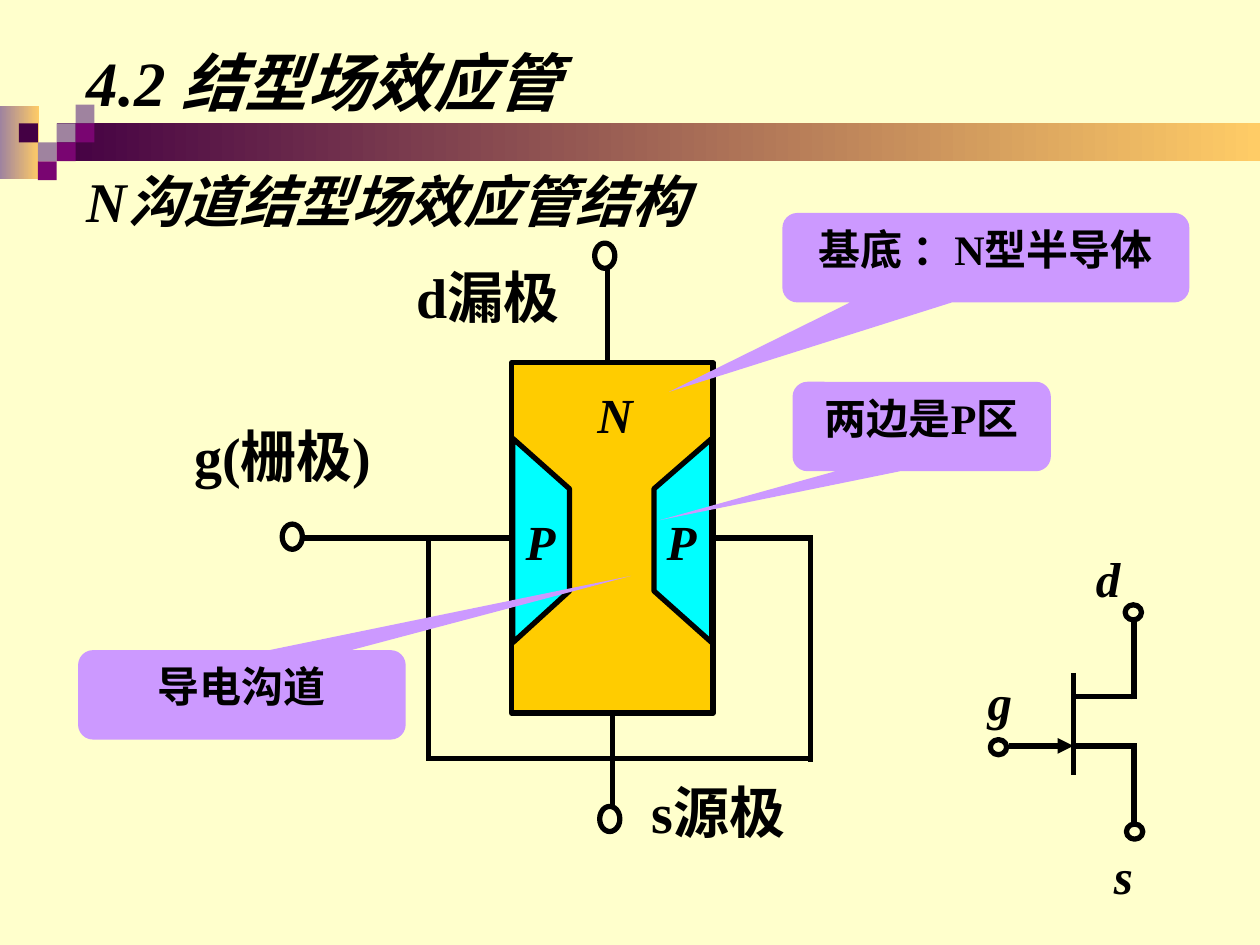
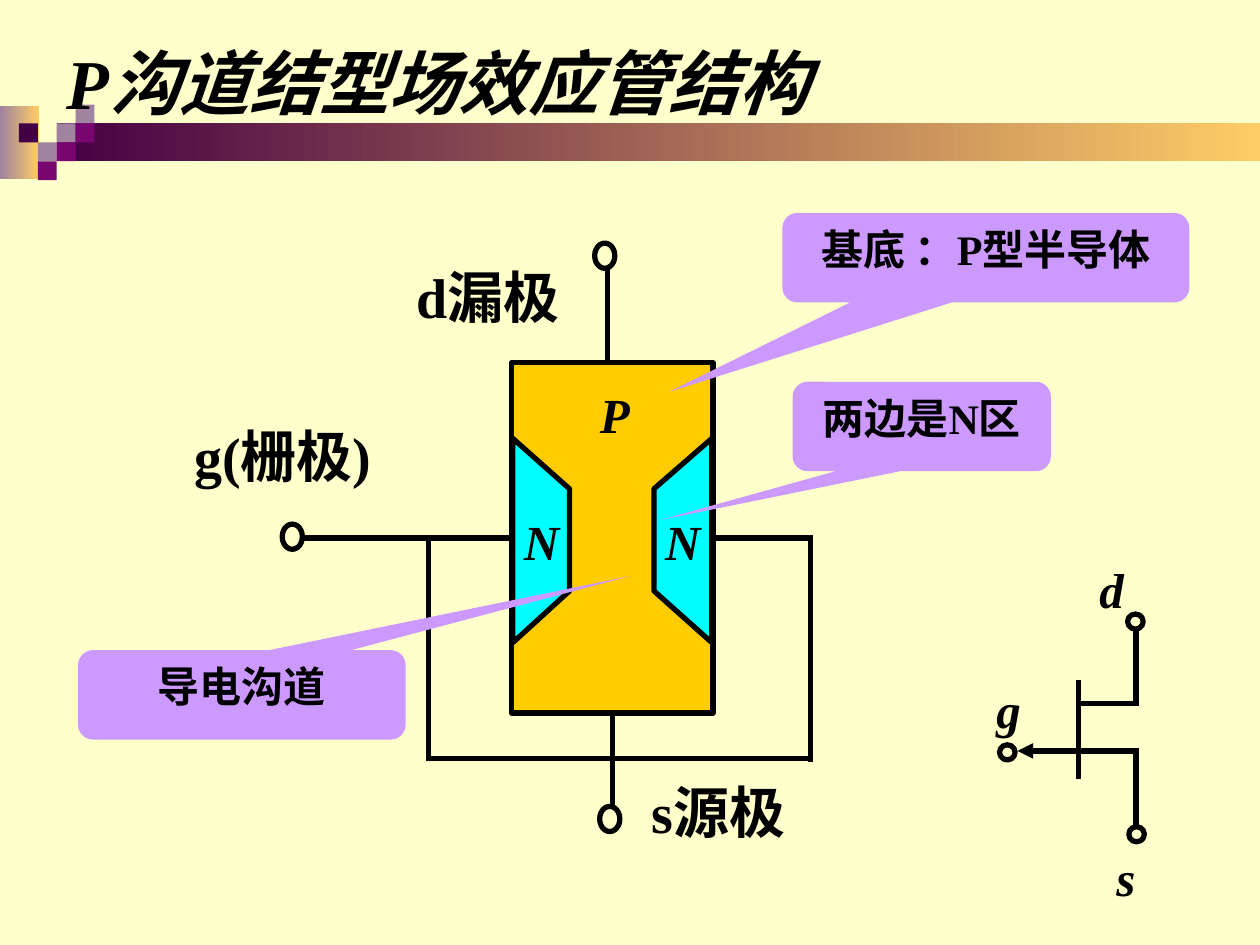
from dataclasses import dataclass
from typing import NamedTuple, Optional

from lxml import etree
from pptx import Presentation
from pptx.dml.color import RGBColor
from pptx.enum.shapes import MSO_CONNECTOR, MSO_SHAPE
from pptx.enum.text import MSO_ANCHOR, PP_ALIGN
from pptx.oxml.ns import qn
from pptx.util import Inches, Pt

RECT = MSO_SHAPE.RECTANGLE
OVAL = MSO_SHAPE.OVAL
CALLOUT = MSO_SHAPE.ROUNDED_RECTANGULAR_CALLOUT
STRAIGHT = MSO_CONNECTOR.STRAIGHT
LEFT, CENTER = PP_ALIGN.LEFT, PP_ALIGN.CENTER
TOP, MIDDLE = MSO_ANCHOR.TOP, MSO_ANCHOR.MIDDLE
SIDE_LEFT, SIDE_BOTTOM, SIDE_RIGHT = 1, 2, 3


@dataclass(frozen=True)
class Theme:
    page: str = "FFFFCC"
    ink: str = "000000"
    mauve: str = "9F839F"
    plum: str = "790571"
    dark: str = "440044"
    sand: str = "FFCC66"
    substrate: str = "FFCC00"
    region: str = "00FFFF"
    callout: str = "CC99FF"
    serif: str = "Times New Roman"
    sans: str = "Arial"
    electrode_size: int = 32
    letter_size: int = 28
    callout_size: int = 24
    line_width: int = 3


THEME = Theme()


class Box(NamedTuple):
    x: float
    y: float
    w: float
    h: float


class Wire(NamedTuple):
    x1: float
    y1: float
    x2: float
    y2: float
    side: Optional[int] = None


class Label(NamedTuple):
    text: str
    box: Box


class Callout(NamedTuple):
    text: str
    box: Box
    tip_x: float
    tip_y: float
    font: str = THEME.serif


class Title(NamedTuple):
    text: str
    box: Box
    size: int


class Symbol(NamedTuple):
    bar_x: float
    drain_y: float
    scale_x: float
    scale_y: float
    arrow_end: str


class Device(NamedTuple):
    titles: list[Title]
    substrate: str
    region: str
    symbol: Symbol


CELL = 0.15
GRID_TOP = 0.83
SQUARES = [
    (3, 1, THEME.mauve), (4, 0, THEME.mauve), (4, 1, THEME.plum),
    (2, 2, THEME.mauve), (1, 1, THEME.dark), (3, 2, THEME.plum),
    (2, 3, THEME.plum),
]

CHANNEL = Box(4.06, 2.88, 1.6, 2.78)
GATE_Y = 4.27
LOOP_Y = 6.02
WIRES = [
    Wire(5.66, GATE_Y, 6.45, GATE_Y, SIDE_RIGHT),
    Wire(6.43, 4.25, 6.43, 6.05),
    Wire(6.43, LOOP_Y, 3.38, LOOP_Y),
    Wire(4.06, GATE_Y, 2.39, GATE_Y, SIDE_LEFT),
    Wire(3.4, LOOP_Y, 3.4, GATE_Y),
    Wire(4.86, 5.66, 4.86, 6.4, SIDE_BOTTOM),
    Wire(4.82, 2.12, 4.82, 2.9),
]
TERMINALS = [(2.24, 4.16), (4.76, 6.4), (4.72, 1.93)]
ELECTRODES = [
    Label("g(栅极)", Box(1.35, 3.03, 1.79, 1.17)),
    Label("s源极", Box(4.7, 6.12, 2, 0.64)),
    Label("d漏极", Box(2.99, 2.03, 1.77, 0.64)),
]

DRAIN_Y, SOURCE_Y = 0.62, 1.01
SYMBOL_WIRES = [
    Wire(0, 0.43, 0, 1.24),
    Wire(-0.02, DRAIN_Y, 0.5, DRAIN_Y),
    Wire(0.48, 0.64, 0.48, 0),
    Wire(-0.02, SOURCE_Y, 0.5, SOURCE_Y),
    Wire(0.48, 1.63, 0.48, 0.99),
]
GATE_ARROW = Wire(-0.51, SOURCE_Y, 0, SOURCE_Y)
SYMBOL_TERMINALS = [(-0.66, 0.96), (0.41, -0.11), (0.42, 1.63)]
SYMBOL_LETTERS = [("d", 0.02, -0.61), ("g", -0.84, 0.37), ("s", 0.14, 1.75)]

DEVICES = [
    Device(
        [Title("4.2 结型场效应管", Box(0.59, 0.21, 8.92, 0.87), 36),
         Title("N沟道结型场效应管结构", Box(0.59, 1.15, 5.67, 0.87), 32)],
        "N", "P", Symbol(8.52, 4.91, 1, 1, "tailEnd")),
    Device(
        [Title("P沟道结型场效应管结构", Box(0.43, 0.21, 8.92, 0.87), 40)],
        "P", "N", Symbol(8.56, 4.98, 0.95, 0.97, "headEnd")),
]


def rgb(color: str) -> RGBColor:
    return RGBColor.from_string(color)


def emu(box: Box) -> list:
    return [Inches(v) for v in box]


def outline(sp) -> None:
    sp.line.color.rgb = rgb(THEME.ink)
    sp.line.width = Pt(THEME.line_width)


def add_shape(s, kind, box: Box, fill: Optional[str] = None, lined: bool = False):
    sp = s.shapes.add_shape(kind, *emu(box))
    sp.shadow.inherit = False
    if fill:
        sp.fill.solid()
        sp.fill.fore_color.rgb = rgb(fill)
    else:
        sp.fill.background()
    if lined:
        outline(sp)
    else:
        sp.line.fill.background()
    return sp


def add_gradient(s, box: Box, start: str, end: str) -> None:
    fill = add_shape(s, RECT, box).fill
    fill.gradient()
    fill.gradient_angle = 0
    for stop, color in zip(fill.gradient_stops, (start, end)):
        stop.color.rgb = rgb(color)


def write(sp, text: str, size: int, italic: bool = False, align=CENTER,
          anchor=MIDDLE, font: str = THEME.serif) -> None:
    tf = sp.text_frame
    tf.word_wrap = True
    tf.vertical_anchor = anchor
    p = tf.paragraphs[0]
    p.alignment = align
    r = p.add_run()
    r.text = text
    r.font.name = font
    r.font.size = Pt(size)
    r.font.bold = True
    r.font.italic = italic
    r.font.color.rgb = rgb(THEME.ink)


def add_text(s, label: Label, size: int, italic: bool = False, align=CENTER) -> None:
    write(s.shapes.add_textbox(*emu(label.box)), label.text, size, italic, align)


def add_wire(s, wire: Wire, body=None, arrow_end: Optional[str] = None) -> None:
    line = s.shapes.add_connector(STRAIGHT, *[Inches(v) for v in wire[:4]])
    outline(line)
    if wire.side is not None:
        line.begin_connect(body, wire.side)
    sp_pr = line._element.spPr
    if arrow_end:
        etree.SubElement(sp_pr.find(qn("a:ln")), qn(f"a:{arrow_end}"), type="triangle")
    etree.SubElement(sp_pr, qn("a:effectLst"))


def add_region(s, edge: float, inner: float) -> None:
    points = [(edge, 3.48), (inner, 3.88), (inner, 4.69), (edge, 5.1)]
    start, *rest = [(Inches(x), Inches(y)) for x, y in points]
    builder = s.shapes.build_freeform(*start)
    builder.add_line_segments(rest)
    sp = builder.convert_to_shape()
    sp.shadow.inherit = False
    sp.fill.solid()
    sp.fill.fore_color.rgb = rgb(THEME.region)
    outline(sp)


def add_callout(s, callout: Callout) -> None:
    box = callout.box
    sp = add_shape(s, CALLOUT, box, THEME.callout)
    sp.adjustments[0] = (callout.tip_x - box.x) / box.w - 0.5
    sp.adjustments[1] = (callout.tip_y - box.y) / box.h - 0.5
    write(sp, callout.text, THEME.callout_size, anchor=TOP, font=callout.font)


def draw_band(s) -> None:
    add_gradient(s, Box(0, 0.84, 0.31, 0.58), THEME.mauve, THEME.sand)
    add_gradient(s, Box(0.45, 0.98, 9.55, 0.3), THEME.dark, THEME.sand)
    for col, row, color in SQUARES:
        add_shape(s, RECT, Box(col * CELL, GRID_TOP + row * CELL, CELL, CELL), color)


def draw_structure(s, device: Device) -> None:
    body = add_shape(s, RECT, CHANNEL, THEME.substrate, lined=True)
    add_region(s, 4.07, 4.52)
    add_region(s, 5.65, 5.19)
    for wire in WIRES:
        add_wire(s, wire, body)
    for x, y in TERMINALS:
        add_shape(s, OVAL, Box(x, y, 0.16, 0.2), lined=True)
    letters = [Label(device.substrate, Box(4.37, 3, 1.02, 0.57))]
    letters += [Label(device.region, Box(x, 4.01, 0.46, 0.57)) for x in (4.06, 5.18)]
    for letter in letters:
        add_text(s, letter, THEME.letter_size, italic=True)
    for electrode in ELECTRODES:
        add_text(s, electrode, THEME.electrode_size)


def draw_callouts(s, device: Device) -> None:
    for callout in (
        Callout(f"基底 ：{device.substrate}型半导体", Box(6.21, 1.69, 3.23, 0.71), 5.31, 3.11),
        Callout(f"两边是{device.region}区", Box(6.29, 3.03, 2.05, 0.71), 5.23, 4.13),
        Callout("导电沟道", Box(0.62, 5.16, 2.6, 0.71), 5.01, 4.57, THEME.sans),
    ):
        add_callout(s, callout)


def draw_symbol(s, symbol: Symbol) -> None:
    def place(x: float, y: float) -> tuple[float, float]:
        return symbol.bar_x + x * symbol.scale_x, symbol.drain_y + y * symbol.scale_y

    def place_wire(wire: Wire) -> Wire:
        return Wire(*place(wire.x1, wire.y1), *place(wire.x2, wire.y2))

    for wire in SYMBOL_WIRES:
        add_wire(s, place_wire(wire))
    add_wire(s, place_wire(GATE_ARROW), arrow_end=symbol.arrow_end)
    for x, y in SYMBOL_TERMINALS:
        add_shape(s, OVAL, Box(*place(x, y), 0.13 * symbol.scale_x, 0.12), lined=True)
    for text, x, y in SYMBOL_LETTERS:
        box = Box(*place(x, y), 0.51 * symbol.scale_x, 0.57)
        add_text(s, Label(text, box), THEME.letter_size, italic=True)


def main() -> None:
    prs = Presentation()
    prs.slide_width, prs.slide_height = Inches(10), Inches(7.5)
    background = prs.slide_master.background.fill
    background.solid()
    background.fore_color.rgb = rgb(THEME.page)
    for device in DEVICES:
        s = prs.slides.add_slide(prs.slide_layouts[6])
        draw_band(s)
        draw_structure(s, device)
        for title in device.titles:
            add_text(s, Label(title.text, title.box), title.size, italic=True, align=LEFT)
        draw_callouts(s, device)
        draw_symbol(s, device.symbol)
    prs.save("out.pptx")


if __name__ == "__main__":
    main()
